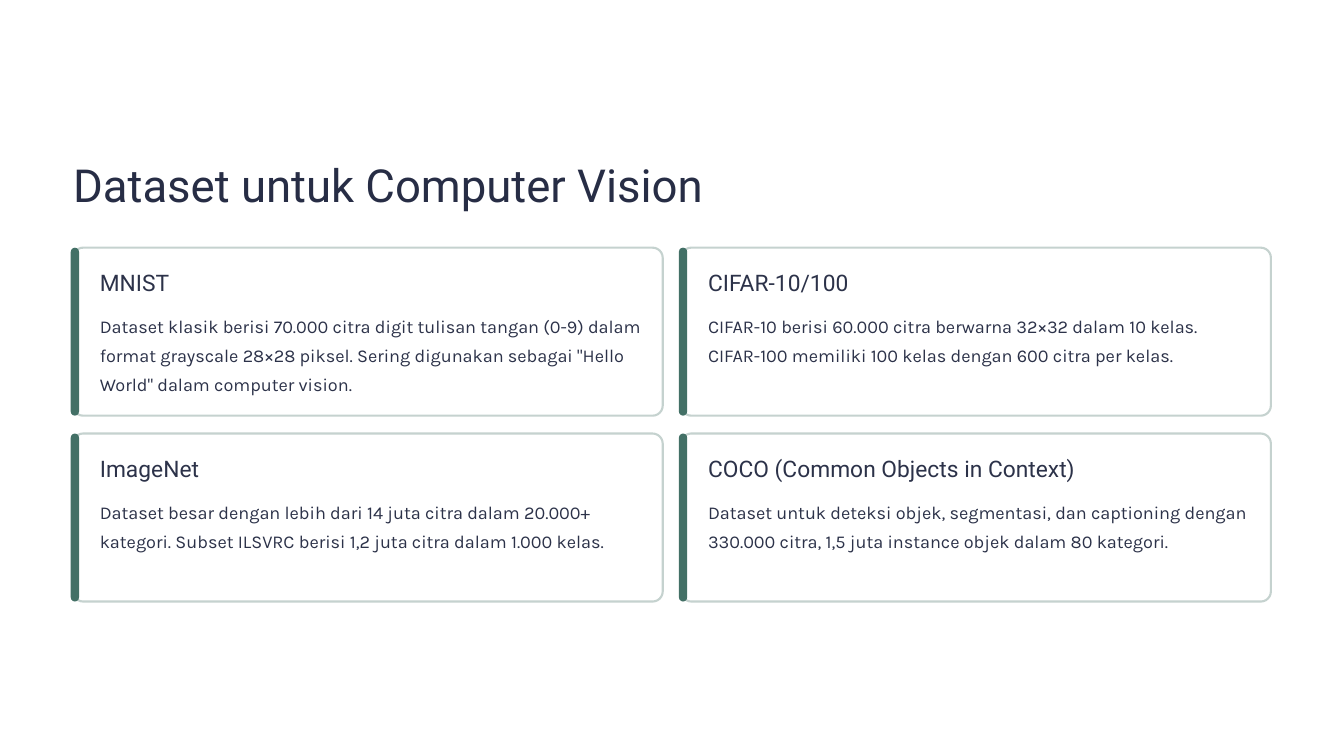
from pptx import Presentation
from pptx.dml.color import RGBColor
from pptx.enum.shapes import MSO_SHAPE
from pptx.enum.text import MSO_ANCHOR, MSO_AUTO_SIZE, PP_ALIGN
from pptx.util import Cm, Pt

WHITE = RGBColor(0xFF, 0xFF, 0xFF)
NAVY = RGBColor(0x27, 0x2D, 0x45)
SLATE = RGBColor(0x2C, 0x32, 0x49)
GREEN = RGBColor(0x43, 0x70, 0x66)
MIST = RGBColor(0xC5, 0xD2, 0xCF)

DATASETS = [
    ("MNIST",
     "Dataset klasik berisi 70.000 citra digit tulisan tangan (0-9) dalam "
     "format grayscale 28×28 piksel. Sering digunakan sebagai \"Hello World\" "
     "dalam computer vision."),
    ("CIFAR-10/100",
     "CIFAR-10 berisi 60.000 citra berwarna 32×32 dalam 10 kelas. "
     "CIFAR-100 memiliki 100 kelas dengan 600 citra per kelas."),
    ("ImageNet",
     "Dataset besar dengan lebih dari 14 juta citra dalam 20.000+ kategori. "
     "Subset ILSVRC berisi 1,2 juta citra dalam 1.000 kelas."),
    ("COCO (Common Objects in Context)",
     "Dataset untuk deteksi objek, segmentasi, dan captioning dengan "
     "330.000 citra, 1,5 juta instance objek dalam 80 kategori."),
]


def write(frame, text, font="Roboto", size=19.5, color=SLATE, leading=24, wrap=False):
    frame.margin_left = frame.margin_top = frame.margin_right = frame.margin_bottom = 0
    frame.auto_size = MSO_AUTO_SIZE.NONE
    frame.vertical_anchor = MSO_ANCHOR.TOP
    frame.word_wrap = wrap
    frame.text = text
    paragraph = frame.paragraphs[0]
    paragraph.alignment = PP_ALIGN.LEFT
    paragraph.line_spacing = Pt(leading)
    paragraph.space_before = Pt(0)
    run_font = paragraph.runs[0].font
    run_font.name = font
    run_font.size = Pt(size)
    run_font.color.rgb = color


class DatasetSlide:
    card_width, card_height = 17.83, 5.08
    left, top = 2.21, 7.49
    column_step, row_step = 18.39, 5.62

    def __init__(self, presentation):
        self.slide = presentation.slides.add_slide(presentation.slide_layouts[5])
        background = self.slide.background.fill
        background.solid()
        background.fore_color.rgb = WHITE

    def title(self, text):
        heading = self.slide.shapes.title
        heading.left, heading.top = Cm(self.left), Cm(4.69)
        heading.width, heading.height = Cm(20.5), Cm(1.73)
        write(heading.text_frame, text, size=39, color=NAVY, leading=48.5, wrap=True)

    def panel(self, x, y, width, height, rounding, fill, border=None):
        panel = self.slide.shapes.add_shape(
            MSO_SHAPE.ROUNDED_RECTANGLE, Cm(x), Cm(y), Cm(width), Cm(height))
        panel.adjustments[0] = rounding
        panel.shadow.inherit = False
        panel.fill.solid()
        panel.fill.fore_color.rgb = fill
        if border is None:
            panel.line.fill.background()
        else:
            panel.line.color.rgb = border
            panel.line.width = Pt(1.8)

    def label(self, x, y, width, height, text, **style):
        label = self.slide.shapes.add_textbox(Cm(x), Cm(y), Cm(width), Cm(height))
        write(label.text_frame, text, **style)

    def card(self, column, row, name, description):
        x = self.left + column * self.column_step
        y = self.top + row * self.row_step
        self.panel(x, y, self.card_width, self.card_height, 0.06, WHITE, MIST)
        self.panel(x - 0.07, y, 0.25, self.card_height, 0.5, GREEN)
        self.label(x + 0.81, y + 0.62, 10.82, 0.86, name)
        self.label(x + 0.81, y + 1.82, 16.41, 2.64, description,
                   font="Karla", size=15.5, leading=25, wrap=True)


def main():
    presentation = Presentation()
    presentation.slide_width, presentation.slide_height = Cm(40.64), Cm(22.86)
    overview = DatasetSlide(presentation)
    overview.title("Dataset untuk Computer Vision")
    for index, (name, description) in enumerate(DATASETS):
        row, column = divmod(index, 2)
        overview.card(column, row, name, description)
    presentation.save("out.pptx")


if __name__ == "__main__":
    main()
